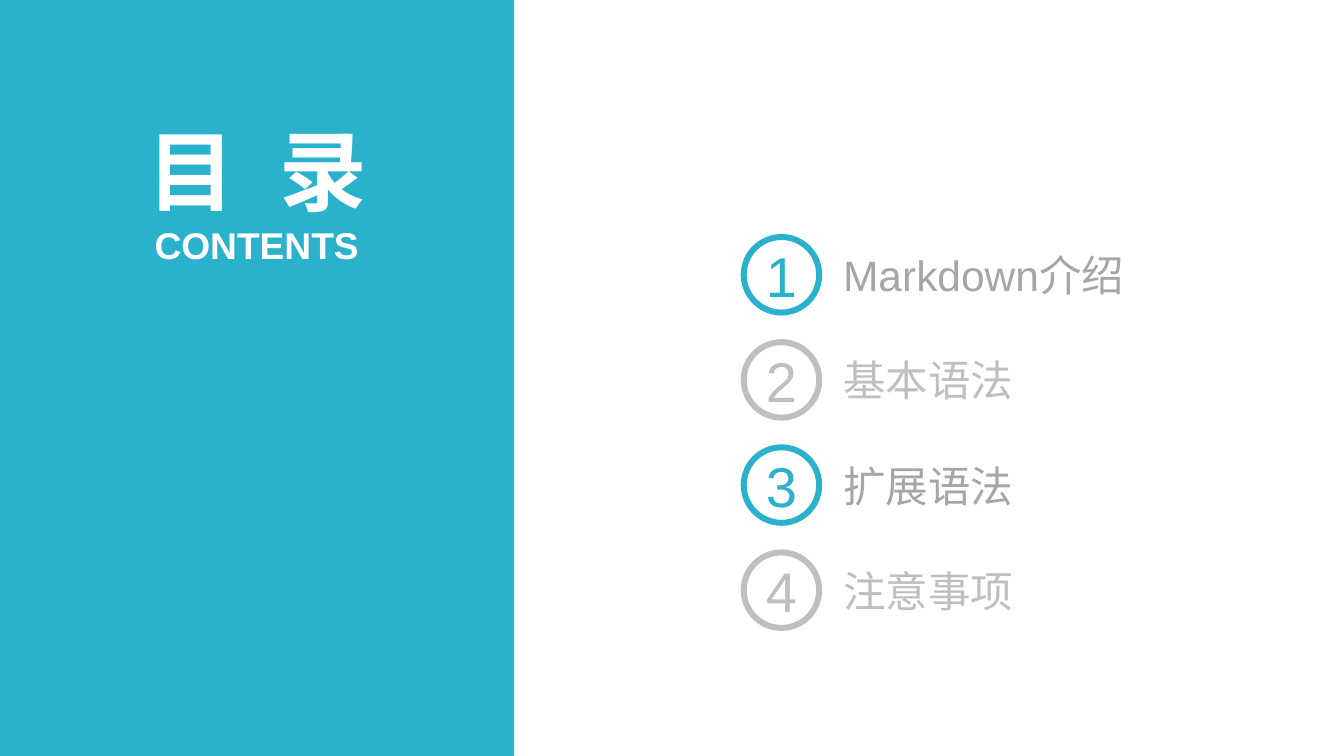
from pptx import Presentation
from pptx.dml.color import RGBColor
from pptx.enum.shapes import MSO_SHAPE
from pptx.enum.text import MSO_ANCHOR, MSO_AUTO_SIZE, PP_ALIGN
from pptx.util import Inches, Pt

TEAL = "2AB2CC"
WHITE = "FFFFFF"
DARK_GRAY = "A6A6A6"
LIGHT_GRAY = "BFBFBF"
CHAPTERS = ["Markdown介绍", "基本语法", "扩展语法", "注意事项"]
FIRST_TOP = 2.48
ROW_STEP = 1.1
CIRCLE_SIZE = 0.79
LABEL_HEIGHT = 0.54


def color(hex_string):
    return RGBColor.from_string(hex_string)


def format_text(shape, size, font_color, align, bold=False, anchor=MSO_ANCHOR.MIDDLE):
    frame = shape.text_frame
    frame.word_wrap = True
    frame.vertical_anchor = anchor
    frame.margin_left = frame.margin_right = 0
    frame.margin_top = frame.margin_bottom = 0
    paragraph = frame.paragraphs[0]
    paragraph.alignment = align
    paragraph.font.name = "Arial"
    paragraph.font.size = Pt(size)
    paragraph.font.bold = bold
    paragraph.font.color.rgb = color(font_color)


def add_filled_shape(slide, kind, left, top, width, height, fill, line=None):
    shape = slide.shapes.add_shape(
        kind, Inches(left), Inches(top), Inches(width), Inches(height))
    shape.shadow.inherit = False
    shape.fill.solid()
    shape.fill.fore_color.rgb = color(fill)
    if line:
        shape.line.color.rgb = color(line)
        shape.line.width = Pt(4.5)
    else:
        shape.line.fill.background()
    return shape


def add_label(slide, text, left, top, width, height, size, font_color, align, **style):
    box = slide.shapes.add_textbox(
        Inches(left), Inches(top), Inches(width), Inches(height))
    box.text_frame.text = text
    format_text(box, size, font_color, align, **style)
    box.text_frame.auto_size = MSO_AUTO_SIZE.SHAPE_TO_FIT_TEXT


def format_title(title):
    title.left, title.top = Inches(1.36), Inches(1.22)
    title.width, title.height = Inches(2.66), Inches(1.11)
    paragraph = title.text_frame.paragraphs[0]
    first_run, second_run = paragraph.add_run(), paragraph.add_run()
    first_run.text, second_run.text = "目 ", "录"
    first_run.font.element.set("spc", "900") if hasattr(first_run.font, "element") else \
        first_run._r.get_or_add_rPr().set("spc", "900")
    format_text(title, 66, WHITE, PP_ALIGN.CENTER, bold=True)
    title.text_frame.auto_size = MSO_AUTO_SIZE.SHAPE_TO_FIT_TEXT


def add_chapter(slide, index, name):
    top = FIRST_TOP + index * ROW_STEP
    highlighted = index % 2 == 0
    accent = TEAL if highlighted else LIGHT_GRAY
    circle = add_filled_shape(slide, MSO_SHAPE.OVAL, 7.78, top,
                              CIRCLE_SIZE, CIRCLE_SIZE, WHITE, accent)
    circle.text_frame.text = str(index + 1)
    format_text(circle, 42.2, accent, PP_ALIGN.CENTER)
    add_label(slide, name, 8.82, top + (CIRCLE_SIZE - LABEL_HEIGHT) / 2, 2.96,
              LABEL_HEIGHT, 32, DARK_GRAY if highlighted else LIGHT_GRAY, PP_ALIGN.LEFT)


def main():
    presentation = Presentation()
    presentation.slide_width = Inches(14.06)
    presentation.slide_height = Inches(7.91)
    slide = presentation.slides.add_slide(presentation.slide_layouts[5])
    title = slide.shapes.title
    panel = add_filled_shape(slide, MSO_SHAPE.RECTANGLE, 0, 0, 5.38, 7.91, TEAL)
    title.element.addprevious(panel.element)
    format_title(title)
    add_label(slide, "CONTENTS", 1.37, 2.33, 2.63, 0.47, 28, WHITE,
              PP_ALIGN.CENTER, bold=True, anchor=MSO_ANCHOR.TOP)
    for index, name in enumerate(CHAPTERS):
        add_chapter(slide, index, name)
    presentation.save("out.pptx")


if __name__ == "__main__":
    main()
